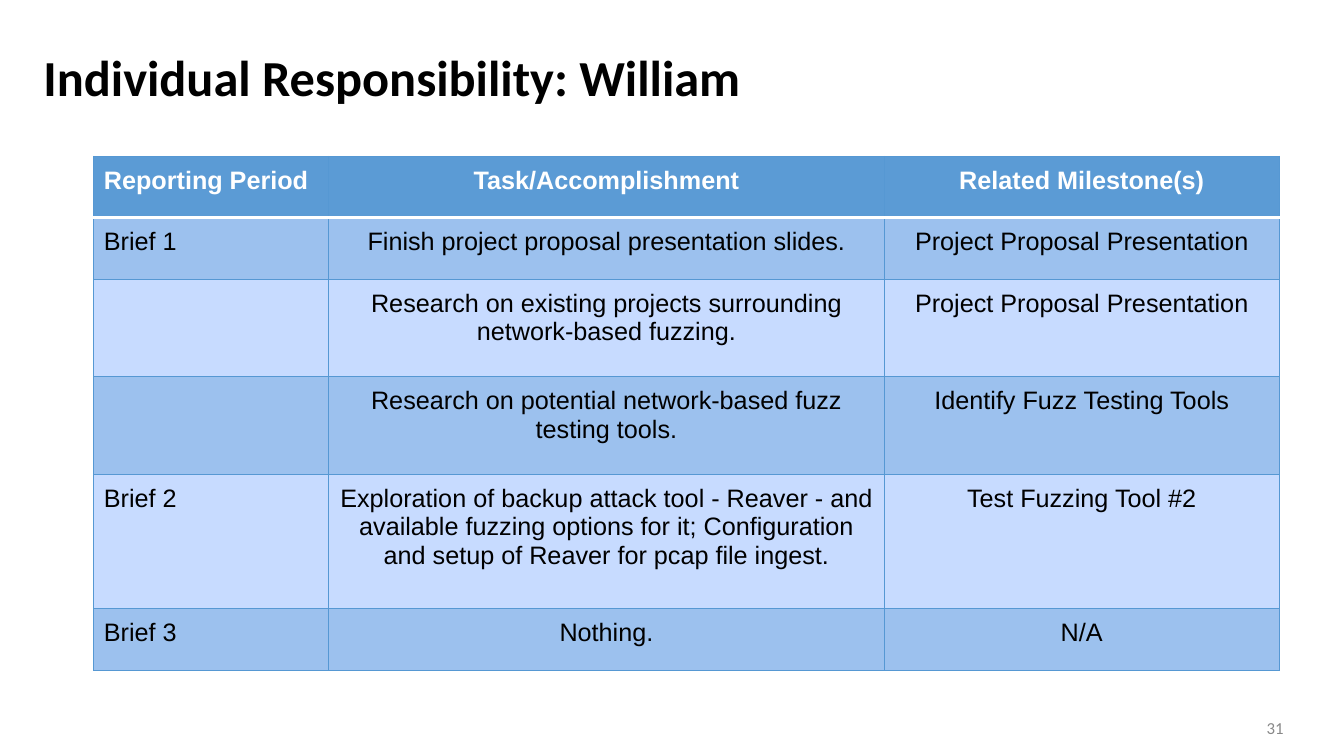
from lxml import etree
from pptx import Presentation
from pptx import util as u
from pptx.dml import color
from pptx.enum import text
from pptx.oxml import ns

COLORS = {
    "ink": "000000",
    "paper": "FFFFFF",
    "muted": "888888",
    "header": "5B9BD5",
    "dark_band": "9CC1EE",
    "light_band": "C7DBFF",
    "rule": "5698D3",
}
LEFT, CENTER, RIGHT = text.PP_ALIGN.LEFT, text.PP_ALIGN.CENTER, text.PP_ALIGN.RIGHT

COLUMN_WIDTHS = [17.48, 41.33, 29.4]
ROW_HEIGHTS = [8.13, 8.13, 12.93, 12.93, 17.73, 8.13]
RESPONSIBILITIES = [
    ("Reporting Period", "Task/Accomplishment", "Related Milestone(s)"),
    ("Brief 1", "Finish project proposal presentation slides.", "Project Proposal Presentation"),
    ("", "Research on existing projects surrounding network-based fuzzing.",
     "Project Proposal Presentation"),
    ("", "Research on potential network-based fuzz testing tools.", "Identify Fuzz Testing Tools"),
    ("Brief 2", "Exploration of backup attack tool - Reaver - and available fuzzing options for it; "
     "Configuration and setup of Reaver for pcap file ingest.", "Test Fuzzing Tool #2"),
    ("Brief 3", "Nothing.", "N/A"),
]


class SlideBuilder:
    heading_font = "Calibri"
    table_font = "Arial"
    cell_margin = u.Inches(0.1)

    def __init__(self, deck):
        self.deck = deck
        self.slide = deck.slides.add_slide(deck.slide_layouts[6])

    def across(self, percent):
        return round(self.deck.slide_width * percent / 100)

    def down(self, percent):
        return round(self.deck.slide_height * percent / 100)

    def area(self, left, top, width, height):
        return self.across(left), self.down(top), self.across(width), self.down(height)

    def add_span(self, para, words, font, size, ink, bold=False, align=LEFT):
        para.alignment = align
        span = para.add_run()
        span.text = words
        span.font.name = font
        span.font.size = u.Pt(size)
        span.font.bold = bold
        span.font.color.rgb = color.RGBColor.from_string(COLORS[ink])

    def label(self, area, words, size, ink, bold=False, align=LEFT, spacing=1.0):
        frame = self.slide.shapes.add_textbox(*self.area(*area)).text_frame
        frame.word_wrap = True
        frame.vertical_anchor = text.MSO_ANCHOR.MIDDLE
        para = frame.paragraphs[0]
        para.line_spacing = spacing
        self.add_span(para, words, self.heading_font, size, ink, bold, align)

    def border(self, cell, side, ink, points):
        properties = cell._tc.get_or_add_tcPr()
        line = etree.SubElement(properties, ns.qn(f"a:ln{side}"), w=str(u.Pt(points)))
        fill = etree.SubElement(line, ns.qn("a:solidFill"))
        etree.SubElement(fill, ns.qn("a:srgbClr"), val=COLORS[ink])

    def style_cell(self, cell, row):
        cell.margin_left = cell.margin_right = self.cell_margin
        cell.margin_top = cell.margin_bottom = self.cell_margin
        heading_edge = {0: "B", 1: "T"}.get(row)
        for side in "LRTB":
            ink, points = ("paper", 2) if side == heading_edge else ("rule", 0.75)
            self.border(cell, side, ink, points)
        band = "header" if row == 0 else "dark_band" if row % 2 else "light_band"
        cell.fill.solid()
        cell.fill.fore_color.rgb = color.RGBColor.from_string(COLORS[band])

    def table(self, left, top, widths, heights, rows, size):
        area = self.area(left, top, sum(widths), sum(heights))
        grid = self.slide.shapes.add_table(len(rows), len(widths), *area).table
        for column, width in zip(grid.columns, widths):
            column.width = self.across(width)
        for index, (height, entries) in enumerate(zip(heights, rows)):
            grid.rows[index].height = self.down(height)
            for position, words in enumerate(entries):
                cell = grid.cell(index, position)
                self.style_cell(cell, index)
                if words:
                    self.add_span(cell.text_frame.paragraphs[0], words, self.table_font, size,
                                  "ink" if index else "paper", index == 0,
                                  CENTER if position else LEFT)


def main():
    deck = Presentation()
    deck.slide_width = u.Inches(13.33)
    deck.slide_height = u.Inches(7.5)
    page = SlideBuilder(deck)
    page.label((2.5, 4.53, 93.75, 12.13), "Individual Responsibility: William", 36, "ink",
               bold=True, spacing=0.9)
    page.label((92.5, 94.4, 3.75, 3.73), "31", 12, "muted", align=RIGHT)
    page.table(6.98, 20.67, COLUMN_WIDTHS, ROW_HEIGHTS, RESPONSIBILITIES, 18)
    deck.save("out.pptx")


if __name__ == "__main__":
    main()
